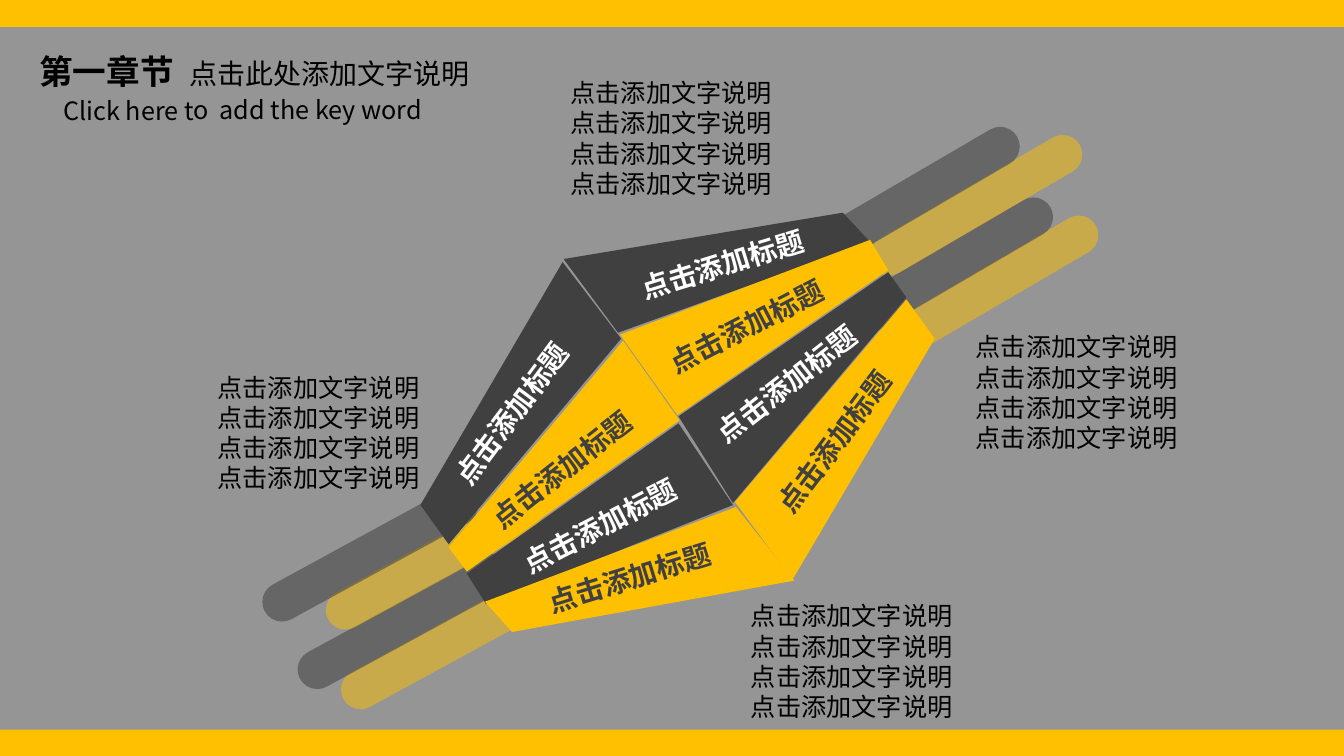
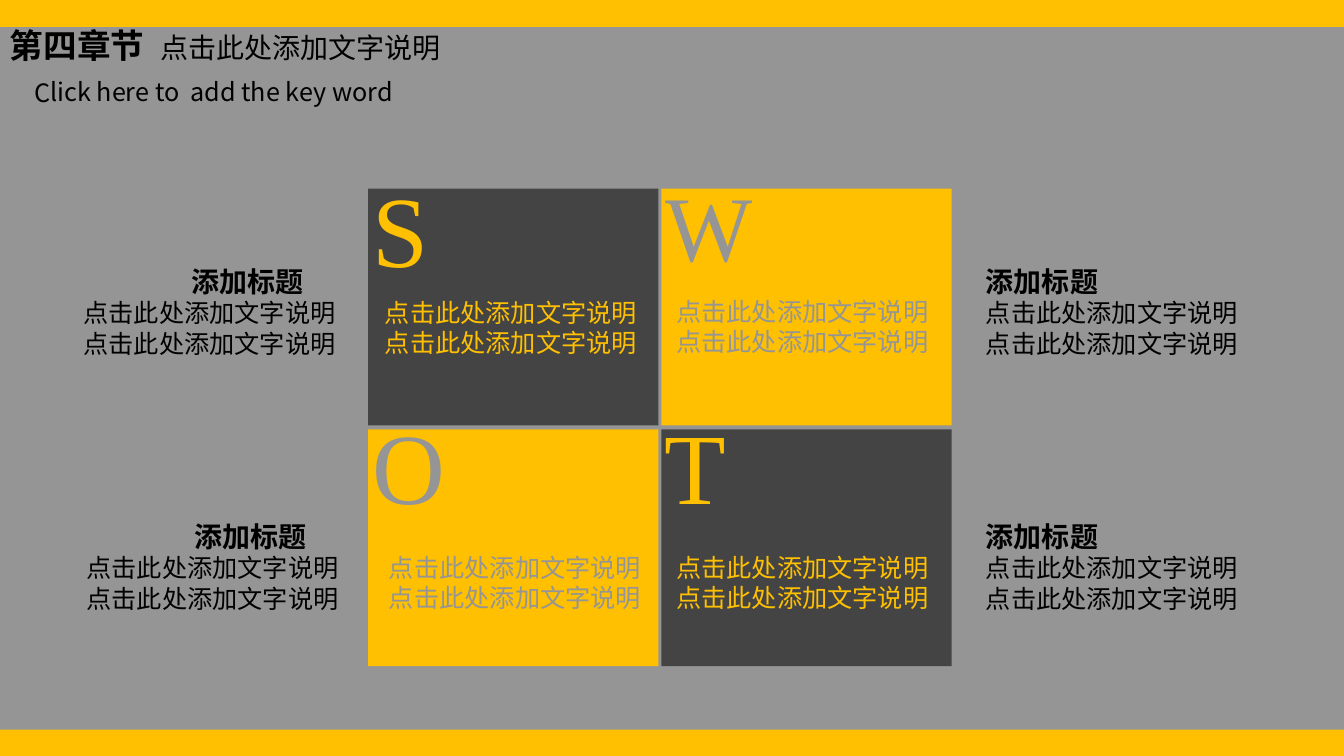
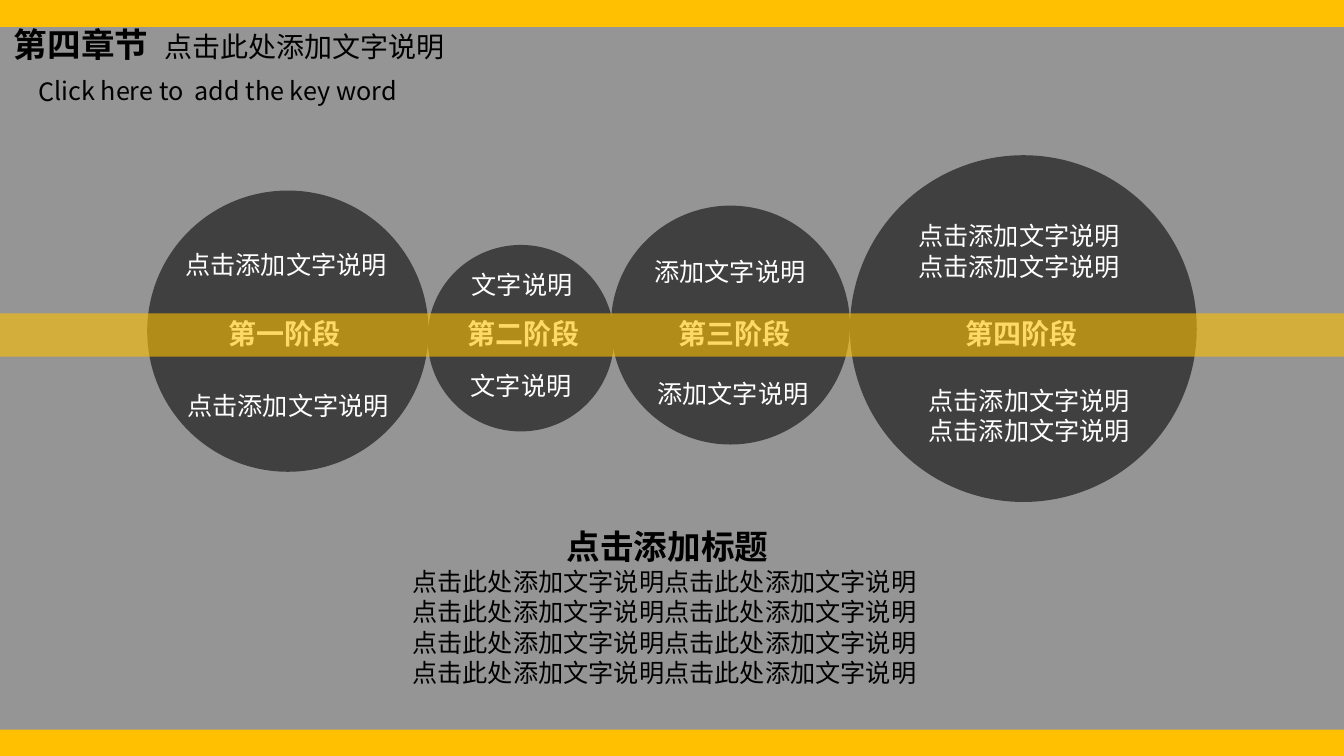
from dataclasses import dataclass
from typing import NamedTuple

from lxml.etree import SubElement
from pptx import Presentation
from pptx.dml.color import RGBColor
from pptx.enum.shapes import MSO_SHAPE
from pptx.enum.text import MSO_AUTO_SIZE, PP_ALIGN
from pptx.oxml.ns import qn
from pptx.util import Inches, Pt

# Grid: 13.33 columns by 7.5 rows of square cells
CELL = Inches(1)
COLUMNS, ROWS = 13.33, 7.5

YELLOW = RGBColor(0xFE, 0xC0, 0x00)
GREY = RGBColor(0x95, 0x95, 0x95)
DARK = RGBColor(0x40, 0x40, 0x40)
SLATE = RGBColor(0x44, 0x44, 0x44)
BLACK = RGBColor(0x00, 0x00, 0x00)
WHITE = RGBColor(0xFF, 0xFF, 0xFF)

SANS, SERIF = "Noto Sans CJK SC", "Times New Roman"

NOTE = "点击添加文字说明"
LONG_NOTE = "点击此处添加文字说明"
PANEL_TITLE = "点击添加标题"


class Box(NamedTuple):
    left: float
    top: float
    width: float
    height: float

    def inner(self, x, y, width, height):
        """A box placed from this box's top left corner."""
        return Box(self.left + x, self.top + y, width, height)

    def emu(self):
        return [round(length * CELL) for length in self]


PAGE = Box(0, 0, COLUMNS, ROWS)


@dataclass
class Para:
    runs: list
    indent: float = 0
    tab: float = 0
    align: PP_ALIGN = PP_ALIGN.LEFT


def style(size, color=BLACK, bold=False, name=SANS):
    return {"size": Pt(size), "bold": bold, "name": name, "color": color}


def lines(text, count, look):
    return [Para([(text, look)]) for _ in range(count)]


# Shared drawing helpers
def paint(shape, color, opacity=100):
    shape.shadow.inherit = False
    shape.fill.solid()
    shape.fill.fore_color.rgb = color
    shape.line.fill.background()
    if opacity < 100:
        tint = shape._element.spPr.find(qn("a:solidFill"))[0]
        SubElement(tint, qn("a:alpha"), val=str(opacity * 1000))


def block(slide, kind, box, color, opacity=100, rotation=0):
    shape = slide.shapes.add_shape(kind, *box.emu())
    shape.rotation = rotation
    paint(shape, color, opacity)
    return shape


def polygon(slide, box, corners, color):
    points = [(round((box.left + x) * CELL), round((box.top + y) * CELL))
              for x, y in corners]
    builder = slide.shapes.build_freeform(*points[0], scale=1.0)
    builder.add_line_segments(points[1:], close=True)
    paint(builder.convert_to_shape(), color)


def write(slide, box, paras, rotation=0):
    holder = slide.shapes.add_textbox(*box.emu())
    holder.rotation = rotation
    frame = holder.text_frame
    frame.word_wrap = True
    frame.auto_size = MSO_AUTO_SIZE.SHAPE_TO_FIT_TEXT
    for index, para in enumerate(paras):
        paragraph = frame.add_paragraph() if index else frame.paragraphs[0]
        paragraph.alignment = para.align
        props = paragraph._p.get_or_add_pPr()
        if para.indent:
            props.set("marL", str(round(para.indent * CELL)))
        if para.tab:
            stops = SubElement(props, qn("a:tabLst"))
            SubElement(stops, qn("a:tab"), pos=str(round(para.tab * CELL)), algn="l")
        for text, look in para.runs:
            run = paragraph.add_run()
            run.text = text
            for attribute, value in look.items():
                if attribute == "color":
                    run.font.color.rgb = value
                else:
                    setattr(run.font, attribute, value)
            SubElement(run._r.get_or_add_rPr(), qn("a:ea"), typeface=look["name"])


def new_slide(prs):
    slide = prs.slides.add_slide(prs.slide_layouts[6])
    # Grey field between the two yellow bands
    block(slide, MSO_SHAPE.RECTANGLE, PAGE.inner(0, 0.27, COLUMNS, 6.97), GREY)
    return slide


def chapter_heading(slide, box, chapter, subtitle_drop):
    write(slide, box, [Para([(chapter + "\t", style(24, bold=True)),
                             (LONG_NOTE, style(20))], tab=1.49)])
    write(slide, box.inner(0.24, subtitle_drop, 4.05, 0.4),
          [Para([("Click here to\tadd the key word", style(18))], tab=1.55)], 359.9)


# Slide 1: two fans of four panels, with bars running out of them
FAN_ANGLES = [306.7, 321.9, 332.6, 342.8]
# Each panel, from the top: corners, label corner, bar corner
LEFT_FAN = [
    ([(4.16, 2.36), (2.45, 4.4), (2.17, 4.01), (3.58, 1.6)], (2.11, 2.82), (0.48, 4.3)),
    ([(4.74, 3.17), (2.63, 4.67), (2.45, 4.43), (4.18, 2.38)], (2.62, 3.39), (1.11, 4.38)),
    ([(4.73, 3.2), (2.63, 4.69), (2.82, 4.99), (5.27, 4.01)], (3.01, 3.96), (0.83, 4.97)),
    ([(5.88, 4.76), (3.08, 5.27), (2.81, 4.97), (5.3, 4.03)], (3.31, 4.49), (1.26, 5.17)),
]
RIGHT_FAN = [
    ([(3.59, 1.57), (6.36, 1.11), (6.63, 1.4), (4.13, 2.3)], (4.23, 1.38), (5.87, 0.76)),
    ([(4.72, 3.12), (6.81, 1.68), (6.63, 1.38), (4.15, 2.32)], (4.46, 1.98), (6.49, 0.84)),
    ([(4.73, 3.13), (6.81, 1.7), (6.99, 1.95), (5.27, 3.99)], (4.85, 2.54), (6.2, 1.46)),
    ([(5.29, 3.98), (6.99, 1.97), (7.27, 2.36), (5.86, 4.75)], (5.31, 3.1), (6.65, 1.64)),
]
CAPTION_CORNERS = [(5.56, 0.72), (9.58, 3.24), (2.06, 3.64), (7.35, 5.91)]


def fan(slide, box, panels, angles, bar_angle):
    # Panels alternate: fill, label colour, bar opacity
    shades = [(DARK, WHITE, 55), (YELLOW, DARK, 50)] * 2
    for (_, _, corner), (color, _, opacity) in reversed(list(zip(panels, shades))):
        bar = block(slide, MSO_SHAPE.ROUNDED_RECTANGLE,
                    box.inner(*corner, 2.38, 0.39), color, opacity, bar_angle)
        bar.adjustments[0] = 0.5
    for (corners, corner, _), (color, ink, _), angle in zip(panels, shades, angles):
        polygon(slide, box, corners, color)
        write(slide, box.inner(*corner, 2.03, 0.44),
              lines(PANEL_TITLE, 1, style(20, ink, True)), angle)


def fan_slide(prs):
    slide = new_slide(prs)
    fans = PAGE.inner(2, 1, 9, 6)
    fan(slide, fans, LEFT_FAN, FAN_ANGLES, 151.4)
    fan(slide, fans, RIGHT_FAN, FAN_ANGLES[::-1], 329.7)
    for corner in CAPTION_CORNERS:
        write(slide, PAGE.inner(*corner, 2.26, 1.31), lines(NOTE, 4, style(18)))
    chapter_heading(slide, PAGE.inner(0.29, 0.46, 4.51, 0.5), "第一章节", 0.43)


# Slide 2: SWOT grid; offsets run from each quadrant's corner
# letter, size, fill, ink, letter offset, text offset, side note offset, title indent
QUADRANTS = [
    ("S", 72, SLATE, YELLOW, (-0.05, -0.27), (0.07, 1.03), (-2.92, 0.7), 1.07),
    ("W", 66, YELLOW, GREY, (-0.06, -0.24), (0.05, 1.02), (3.12, 0.7), 0),
    ("O", 72, YELLOW, GREY, (-0.05, -0.3), (0.11, 1.17), (-2.89, 0.84), 1.07),
    ("T", 72, SLATE, YELLOW, (-0.07, -0.3), (0.05, 1.17), (3.12, 0.84), 0),
]


def quadrant(slide, box, letter, size, fill, ink, letter_at, text_at, note_at, indent):
    block(slide, MSO_SHAPE.RECTANGLE, box, fill)
    write(slide, box.inner(*letter_at, 1.1, 1.31),
          lines(letter, 1, style(size, ink, name=SERIF)))
    write(slide, box.inner(*text_at, 2.83, 0.71), lines(LONG_NOTE, 2, style(18, ink)))
    title = Para([("添加标题", style(20, bold=True))], indent=indent)
    write(slide, box.inner(*note_at, 2.93, 1.04),
          [title] + lines(LONG_NOTE, 2, style(18)))


def swot_slide(prs):
    slide = new_slide(prs)
    grid = PAGE.inner(3.65, 1.87, 5.79, 4.74)
    for index, parts in enumerate(QUADRANTS):
        row, column = divmod(index, 2)
        quadrant(slide, grid.inner(column * 2.91, row * 2.39, 2.88, 2.35), *parts)
    chapter_heading(slide, PAGE.inner(0, 0.2, 4.51, 0.5), "第四章节", 0.51)


# Slide 3: four stages on a band; offsets run from each circle's box
# circle (left, top, diameter), title, note, line count, note width, then
# offsets of title, upper note and lower note
STAGES = [
    ((1.46, 1.89, 2.79), "第一阶段", NOTE, 1, 2.26, (0.71, 1.2), (0.28, 0.53), (0.3, 1.93)),
    ((4.24, 2.43, 1.85), "第二阶段", "文字说明", 1, 1.36, (0.3, 0.66), (0.34, 0.19), (0.33, 1.19)),
    ((6.06, 2.04, 2.37), "第三阶段", "添加文字说明", 1, 1.8, (0.57, 1.05), (0.33, 0.45), (0.36, 1.66)),
    ((8.43, 1.54, 3.44), "第四阶段", NOTE, 2, 2.26, (1.05, 1.55), (0.58, 0.6), (0.68, 2.23)),
]


def stage(slide, box, title, note, count, width, title_at, *note_corners):
    block(slide, MSO_SHAPE.FLOWCHART_CONNECTOR, box, DARK)
    write(slide, box.inner(*title_at, 1.36, 0.44), lines(title, 1, style(20, WHITE, True)))
    for corner in note_corners:
        write(slide, box.inner(*corner, width, 0.1 + 0.3 * count),
              lines(note, count, style(18, WHITE)))


def stages_slide(prs):
    slide = new_slide(prs)
    for (left, top, diameter), *parts in STAGES:
        stage(slide, PAGE.inner(left, top, diameter, diameter), *parts)
    # Translucent band across the circles
    block(slide, MSO_SHAPE.RECTANGLE, PAGE.inner(0, 3.11, COLUMNS, 0.43), YELLOW, 60)
    # Summary below
    summary = Para([(PANEL_TITLE, style(24, bold=True))], align=PP_ALIGN.CENTER)
    write(slide, PAGE.inner(3.99, 5.17, 5.26, 1.72),
          [summary] + lines(LONG_NOTE * 2, 4, style(18)))
    chapter_heading(slide, PAGE.inner(0.04, 0.19, 4.51, 0.5), "第四章节", 0.51)


def main():
    prs = Presentation()
    prs.slide_width, prs.slide_height = PAGE.emu()[2:]
    backdrop = prs.slide_master.background.fill
    backdrop.solid()
    backdrop.fore_color.rgb = YELLOW
    fan_slide(prs)
    swot_slide(prs)
    stages_slide(prs)
    prs.save("out.pptx")


if __name__ == "__main__":
    main()
